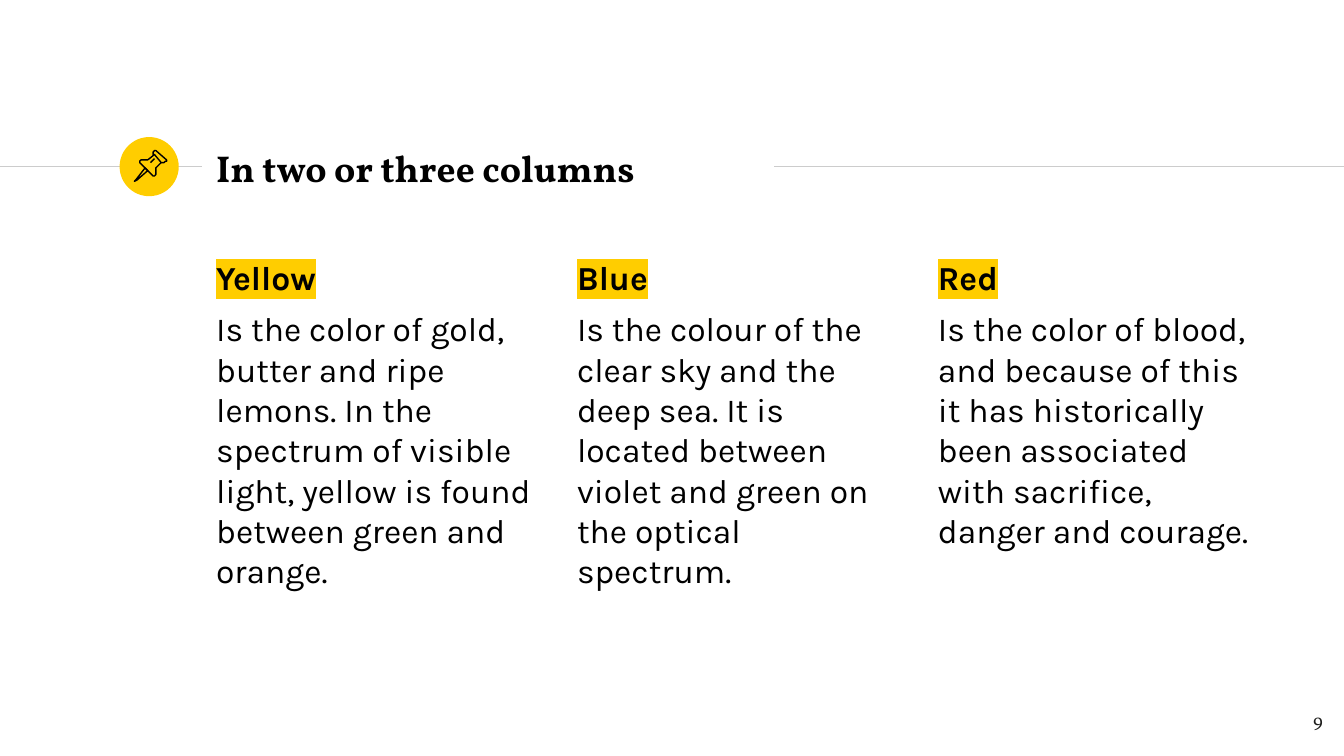
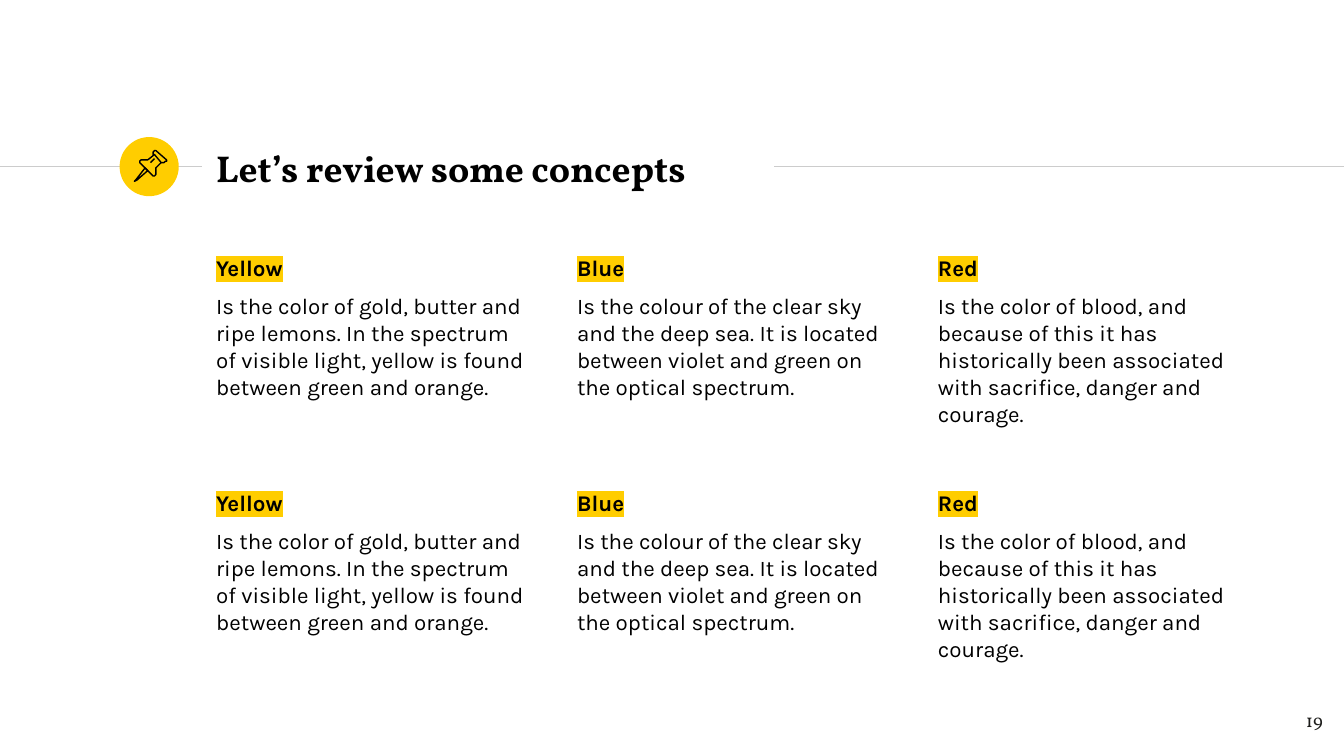
from lxml import etree
from pptx import Presentation
from pptx.dml.color import RGBColor
from pptx.enum.shapes import MSO_CONNECTOR, MSO_SHAPE
from pptx.enum.text import MSO_ANCHOR, PP_ALIGN
from pptx.oxml.ns import qn
from pptx.util import Inches, Pt

STRAIGHT = MSO_CONNECTOR.STRAIGHT
OVAL = MSO_SHAPE.OVAL
TOP, MIDDLE = MSO_ANCHOR.TOP, MSO_ANCHOR.MIDDLE
LEFT, RIGHT = PP_ALIGN.LEFT, PP_ALIGN.RIGHT

COLORS = {"ink": "000000", "accent": "FFCD00", "rule": "CCCCCC", "number": "1D1D1B"}
SERIF, SANS = "Vollkorn", "Karla"

UNIT = Inches(0.1)
COLS, ROWS = 100, 56.25
BADGE = (8.9, 10.2, 4.4, 4.4)
TITLE = (15.1, 10.1, 42.4, 4.8)
NUMBER = (93.4, 51.9, 6, 4.3)
RULES = ((0, 15), (57.6, COLS))
RULE_ROW = 12.4
TEXT_COLS, COL_GAP = 3, 1.35

PIN = (
    (True, [(19, 23), (12, 32), (11, 33), (13, 32), (21, 25)]),
    (True, [(26, 13), (31, 19), (33, 19), (34, 18), (35, 18), (35, 17),
            (27, 10), (26, 10), (25, 11), (25, 13)]),
    (False, [(26, 13), (21, 17), (18, 17), (16, 17), (15, 18), (15, 19),
             (25, 29), (26, 29), (27, 28), (27, 23), (31, 19)]),
    (False, [(23, 19), (26, 16)]),
)

CONCEPTS = [
    ("Yellow", "Is the color of gold, butter and ripe lemons. In the spectrum of "
               "visible light, yellow is found between green and orange."),
    ("Blue", "Is the colour of the clear sky and the deep sea. It is located "
             "between violet and green on the optical spectrum."),
    ("Red", "Is the color of blood, and because of this it has historically "
            "been associated with sacrifice, danger and courage."),
]


def rgb(name):
    """Return the named colour."""
    return RGBColor.from_string(COLORS[name])


def emu(*units):
    """Convert grid units to whole EMU."""
    return [round(u * UNIT) for u in units]


def add_text(s, box, lines, size, font, color="ink", bold=False,
             anchor=TOP, align=LEFT, before=0):
    """Add a text box with one paragraph per line and return its paragraphs."""
    tf = s.shapes.add_textbox(*emu(*box)).text_frame
    tf.word_wrap = True
    tf.vertical_anchor = anchor
    tf.margin_left = tf.margin_right = tf.margin_top = tf.margin_bottom = UNIT
    tf.text = "\n".join(lines)
    for p in tf.paragraphs:
        p.alignment = align
        p.space_before = Pt(before)
        f = p.runs[0].font
        f.name, f.size, f.bold = font, Pt(size), bold
        f.color.rgb = rgb(color)
    return tf.paragraphs


def highlight(r):
    """Mark a run with the accent colour behind its text."""
    mark = etree.Element(qn("a:highlight"))
    etree.SubElement(mark, qn("a:srgbClr"), val=COLORS["accent"])
    r.font._element.find(qn("a:solidFill")).addnext(mark)


def add_rule(s, x1, x2, y):
    """Draw a thin horizontal rule."""
    c = s.shapes.add_connector(STRAIGHT, *emu(x1, y, x2, y))
    c.line.color.rgb = rgb("rule")
    c.line.width = Pt(0.75)
    etree.SubElement(c._element.spPr, qn("a:effectLst"))


def add_badge(s, box):
    """Draw the round badge."""
    disc = s.shapes.add_shape(OVAL, *emu(*box))
    disc.shadow.inherit = False
    disc.fill.solid()
    disc.fill.fore_color.rgb = rgb("accent")
    disc.line.fill.background()


def add_pin(s, box):
    """Draw the pushpin outline inside the badge box."""
    left, top, width, _ = emu(*box)
    parts = []
    for closed, points in PIN:
        fb = s.shapes.build_freeform(*points[0], scale=width / 44)
        fb.add_line_segments(points[1:], close=closed)
        sp = fb.convert_to_shape(left, top)
        sp.shadow.inherit = False
        sp.fill.background()
        sp.line.color.rgb = rgb("ink")
        sp.line.width = Pt(0.75)
        parts.append(sp)
    s.shapes.add_group_shape(parts)


def add_concepts(s, box, size):
    """Fill a box with one text column per concept."""
    left, top, width, height = box
    col = (width - (TEXT_COLS - 1) * COL_GAP) / TEXT_COLS
    for i, concept in enumerate(CONCEPTS):
        x = left + i * (col + COL_GAP)
        head, _ = add_text(s, (x, top, col, height), concept, size, SANS, before=6)
        head.runs[0].font.bold = True
        highlight(head.runs[0])


def add_concept_slide(prs, title, number, size, bands):
    """Add a titled slide with a row of concepts in each band."""
    s = prs.slides.add_slide(prs.slide_layouts[6])
    for x1, x2 in RULES:
        add_rule(s, x1, x2, RULE_ROW)
    add_badge(s, BADGE)
    add_text(s, TITLE, [title], 20, SERIF, bold=True, anchor=MIDDLE)
    for top, height in bands:
        add_concepts(s, (TITLE[0], top, 79.2, height), size)
    add_pin(s, BADGE)
    add_text(s, NUMBER, [str(number)], 10, SERIF, "number", align=RIGHT)


def main():
    """Build and save the presentation."""
    prs = Presentation()
    prs.slide_width, prs.slide_height = emu(COLS, ROWS)
    add_concept_slide(prs, "In two or three columns", 9, 18, [(18.1, 34.1)])
    add_concept_slide(prs, "Let’s review some concepts", 19, 12,
                      [(17.9 + 17.5 * i, 13.2) for i in range(2)])
    prs.save("out.pptx")


if __name__ == "__main__":
    main()
